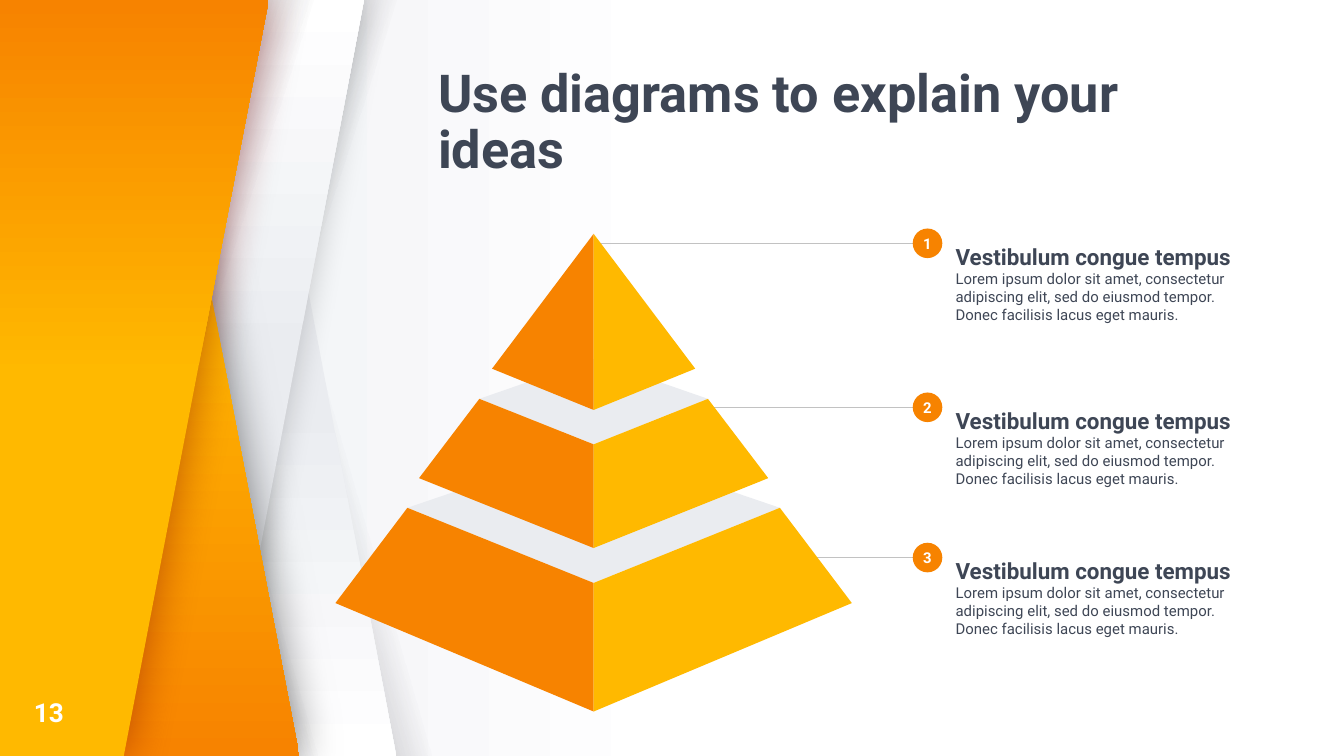
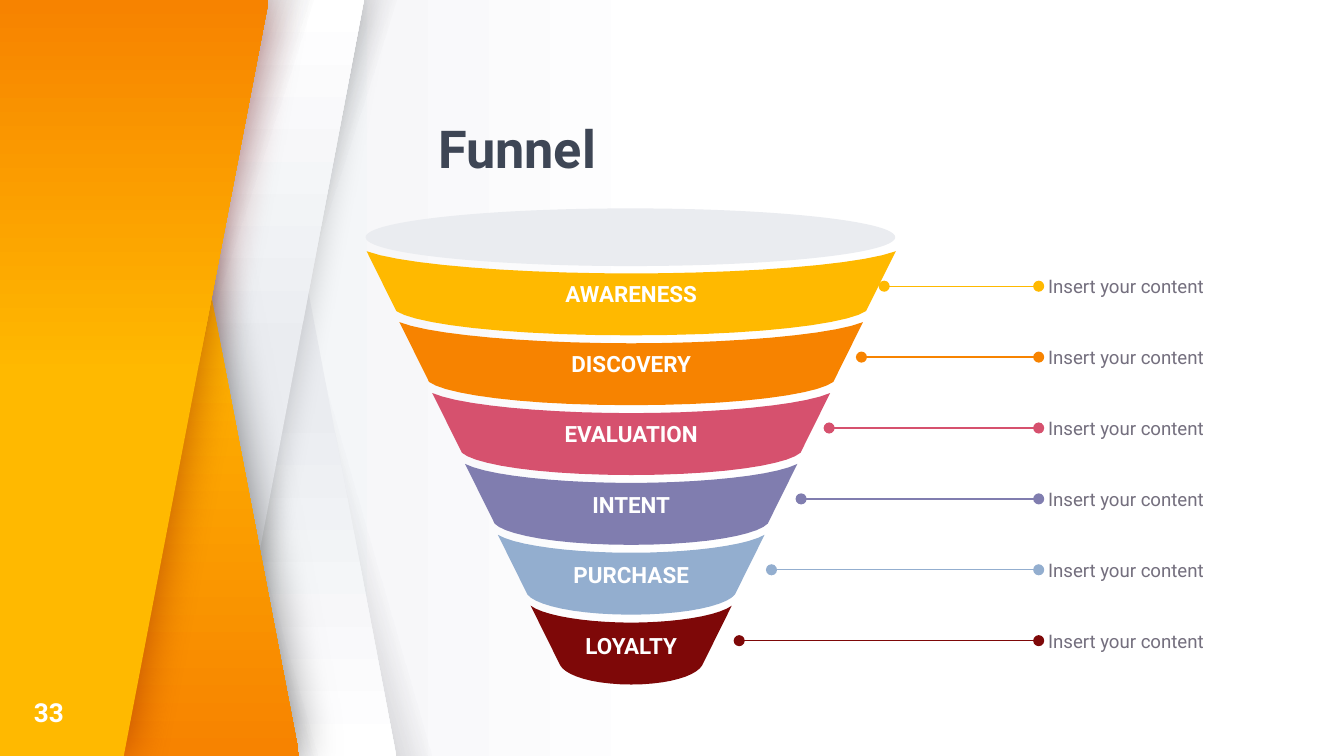
from lxml.etree import SubElement
from pptx import Presentation
from pptx.dml.color import RGBColor
from pptx.enum.shapes import MSO_CONNECTOR, MSO_SHAPE
from pptx.enum.text import MSO_ANCHOR, PP_ALIGN
from pptx.oxml.ns import qn
from pptx.util import Cm, Pt

FONT = "Roboto"
WIDTH, HEIGHT = 25.4, 14.29
INK, NIGHT, GREY, RULE = "3E4655", "27252C", "746F7E", "C2C2C2"
WHITE, MIST, YELLOW, ORANGE, MAROON = "FFFFFF", "EAECF0", "FFB900", "F78300", "7E0808"


def rgb(value):
    """Turn a hex string into a colour."""
    return RGBColor.from_string(value)


def blend(fill, angle, *stops):
    """Fill with two (position, colour) stops along a clockwise angle."""
    fill.gradient()
    fill.gradient_angle = (360 - angle) % 360
    for stop, (position, colour) in zip(fill.gradient_stops, stops):
        stop.position = position / 100
        stop.color.rgb = rgb(colour)


def bezier(start, first, second, end, steps=10):
    """Return points along a cubic curve."""
    points = []
    for step in range(steps + 1):
        t = step / steps
        weights = ((1 - t) ** 3, 3 * t * (1 - t) ** 2, 3 * t ** 2 * (1 - t), t ** 3)
        corners = (start, first, second, end)
        points.append(tuple(sum(w * c[axis] for w, c in zip(weights, corners))
                            for axis in (0, 1)))
    return points


def mirrored(centre, half_curve):
    """Complete a left half curve with its reflection."""
    return half_curve + [(2 * centre - x, y) for x, y in half_curve[-2::-1]]


class Deck:
    """Hold the style and the slide being drawn."""

    def __init__(self):
        """Open a presentation with the shared background."""
        self.presentation = Presentation()
        self.presentation.slide_width = Cm(WIDTH)
        self.presentation.slide_height = Cm(HEIGHT)
        blend(self.presentation.slide_master.background.fill, 180, (50, WHITE), (100, MIST))
        self.shapes = None

    def start(self, title, number):
        """Add a slide with bands, title and page number."""
        layout = self.presentation.slide_layouts[6]
        self.shapes = self.presentation.slides.add_slide(layout).shapes
        self.bands()
        self.text((8.28, 2.31, 15.16, 1.09), [(title, 28, INK, True)],
                  anchor=MSO_ANCHOR.BOTTOM, spacing=0.9)
        self.text((0.64, 13.11, 1.02, 0.69), [(number, 14, WHITE, True)])

    def bands(self):
        """Draw the folded ribbons on the left."""
        self.shade(2.72, True)
        self.ribbon(1.65, True)
        self.shade(1.65, False)
        self.shadow(self.ribbon(1.04, False), "000000", 20, 16.9)
        self.shade(0.56, True)
        lower = self.outline([(0, 0), (0, HEIGHT), (5.66, HEIGHT), (2.92, 0)])
        blend(lower.fill, 90, (37, YELLOW), (100, ORANGE))
        self.shadow(lower, "000000", 50, 24.7)
        self.shade(0.08, False)
        upper = self.outline([(0, HEIGHT), (0, 0), (5.08, 0), (2.34, HEIGHT)])
        blend(upper.fill, 270, (50, YELLOW), (100, ORANGE))
        self.shadow(upper, MAROON, 50, 24.7)

    def slant(self, left, slope, flipped):
        """Add a full-height parallelogram."""
        band = self.preset(MSO_SHAPE.PARALLELOGRAM, (left, 0, 5.84, HEIGHT))
        band.adjustments[0] = slope
        if flipped:
            band._element.spPr.find(qn("a:xfrm")).set("flipH", "1")
        return band

    def ribbon(self, left, flipped):
        """Add a light ribbon."""
        band = self.slant(left, 0.463, flipped)
        blend(band.fill, 90 if flipped else 270, (53, MIST), (100, WHITE))
        return band

    def shade(self, left, flipped):
        """Add a dark fade beside a ribbon."""
        band = self.slant(left, 0.753, flipped)
        blend(band.fill, 16 if flipped else 198, (45 if flipped else 44, NIGHT), (100, INK))
        clear = next(band._element.spPr.iter(qn("a:srgbClr")))
        SubElement(clear, qn("a:alpha"), val="0")

    def shadow(self, shape, colour, opacity, blur):
        """Give a shape a soft centred shadow."""
        effects = shape._element.spPr.find(qn("a:effectLst"))
        outer = SubElement(effects, qn("a:outerShdw"), blurRad=str(Pt(blur)), dist="0",
                           dir="0", algn="ctr", rotWithShape="0")
        tint = SubElement(outer, qn("a:srgbClr"), val=colour)
        SubElement(tint, qn("a:alpha"), val=str(opacity * 1000))

    def finish(self, shape, colour):
        """Remove line and shadow and set a plain fill."""
        shape.shadow.inherit = False
        shape.line.fill.background()
        if colour:
            shape.fill.solid()
            shape.fill.fore_color.rgb = rgb(colour)
        return shape

    def preset(self, kind, box, colour=None):
        """Add a preset shape."""
        return self.finish(self.shapes.add_shape(kind, *map(Cm, box)), colour)

    def outline(self, points, colour=None):
        """Add a closed polygon."""
        corners = [(Cm(x), Cm(y)) for x, y in points]
        builder = self.shapes.build_freeform(*corners[0], scale=1.0)
        builder.add_line_segments(corners[1:], close=True)
        return self.finish(builder.convert_to_shape(), colour)

    def rule(self, start, end, y, colour, dotted=False):
        """Add a horizontal line, with dots at its ends if asked."""
        line = self.shapes.add_connector(MSO_CONNECTOR.STRAIGHT, Cm(start), Cm(y), Cm(end), Cm(y))
        line.line.color.rgb = rgb(colour)
        line.line.width = Pt(0.75)
        properties = line._element.spPr
        if dotted:
            for tip in ("a:headEnd", "a:tailEnd"):
                SubElement(properties.find(qn("a:ln")), qn(tip), type="oval")
        SubElement(properties, qn("a:effectLst"))

    def text(self, box, lines, **style):
        """Add a wrapped text box."""
        self.typeset(self.shapes.add_textbox(*map(Cm, box)).text_frame, lines, **style)

    def typeset(self, frame, lines, align=PP_ALIGN.LEFT, anchor=MSO_ANCHOR.MIDDLE,
                margin=0, spacing=None, after=None):
        """Set (text, size, colour, bold) lines in a frame."""
        frame.word_wrap = True
        frame.vertical_anchor = anchor
        frame.margin_left = frame.margin_right = Cm(margin)
        frame.margin_top = frame.margin_bottom = Cm(margin)
        for index, (words, size, colour, bold) in enumerate(lines):
            paragraph = frame.add_paragraph() if index else frame.paragraphs[0]
            paragraph.text = words
            paragraph.alignment = align
            paragraph.line_spacing = spacing
            font = paragraph.font
            font.name, font.size, font.bold = FONT, Pt(size), bold
            font.color.rgb = rgb(colour)
        if after:
            paragraph.space_after = Pt(after)


def pyramid_slide(deck):
    """Draw the layered pyramid with numbered notes."""
    deck.start("Use diagrams to explain your ideas", "13")
    note = [("Vestibulum congue tempus", 12, INK, True),
            ("Lorem ipsum dolor sit amet, consectetur adipiscing elit, sed do eiusmod tempor. "
             "Donec facilisis lacus eget mauris.", 8, INK, False)]
    for number, (start, y) in enumerate([(11.23, 4.6), (13.23, 7.7), (14.58, 10.54)], 1):
        deck.rule(start, 17.6, y, RULE)
        deck.text((17.81, y - 1.17, 6.25, 3.84), note, margin=0.25, after=16)
        badge = deck.preset(MSO_SHAPE.OVAL, (17.25, y - 0.28, 0.56, 0.56), ORANGE)
        deck.typeset(badge.text_frame, [(str(number), 8, WHITE, True)], align=PP_ALIGN.CENTER)

    axis = 11.22
    layers = [(3.52, 9.6, 8.4, 11.02, 4.88, 11.4, 13.45),
              (2.16, 7.54, 6.79, 8.4, 3.3, 9.04, 10.36),
              (0, 4.42, 4.42, 4.42, 1.92, 6.97, 7.75)]
    for top_half, shoulder, back, front, base_half, base, tip in layers:
        if top_half:
            deck.outline([(axis - top_half, shoulder), (axis, front),
                          (axis + top_half, shoulder), (axis, back)], MIST)
        for side, colour in ((-1, ORANGE), (1, YELLOW)):
            deck.outline([(axis + side * top_half, shoulder), (axis, front),
                          (axis, tip), (axis + side * base_half, base)], colour)


def funnel_slide(deck):
    """Draw the six-stage funnel with its callouts."""
    deck.start("Funnel", "33")
    stages = [("AWARENESS", YELLOW, 16.71), ("DISCOVERY", ORANGE, 16.28),
              ("EVALUATION", "D6516E", 15.67), ("INTENT", "807DAF", 15.14),
              ("PURCHASE", "93AECF", 14.58), ("LOYALTY", MAROON, 13.97)]
    centre, pitch = 11.93, 1.34
    for index, (stage, colour, callout) in enumerate(stages):
        rim, top = 5 - 0.62 * index, 4.75 + pitch * index
        foot, bottom = rim - 0.56, top + 1.13
        dip, sag = 0.42 - 0.02 * index, 0.46 - 0.02 * index
        upper = bezier((centre - rim, top), (centre - 0.86 * rim, top + 0.62 * dip),
                       (centre - 0.42 * rim, top + dip), (centre, top + dip))
        lower = bezier((centre - foot, bottom), (centre - 0.92 * foot, bottom + 0.53 * sag),
                       (centre - 0.54 * foot, bottom + sag), (centre, bottom + sag))
        band = deck.outline(mirrored(centre, upper) + mirrored(centre, lower)[::-1], colour)
        deck.typeset(band.text_frame, [(stage, 12, WHITE, True)],
                     align=PP_ALIGN.CENTER, margin=0.1)
        y = 5.41 + pitch * index
        deck.rule(callout, 19.63, y, colour, dotted=True)
        deck.text((19.81, y - 0.48, 4.67, 0.97), [("Insert your content", 10, GREY, False)])
    deck.preset(MSO_SHAPE.OVAL, (6.91, 3.94, 10.01, 1.09), MIST)


def main():
    """Build both slides and save them."""
    deck = Deck()
    pyramid_slide(deck)
    funnel_slide(deck)
    deck.presentation.save("out.pptx")


if __name__ == "__main__":
    main()
